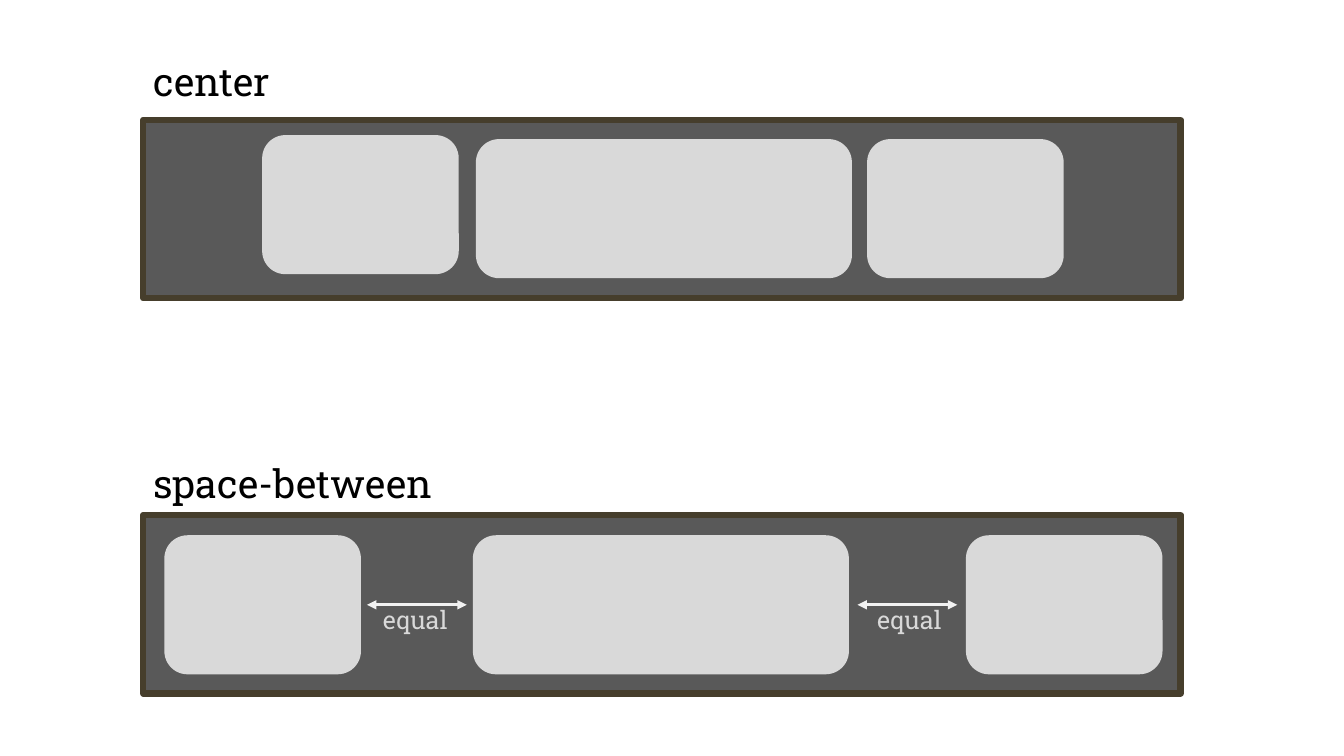
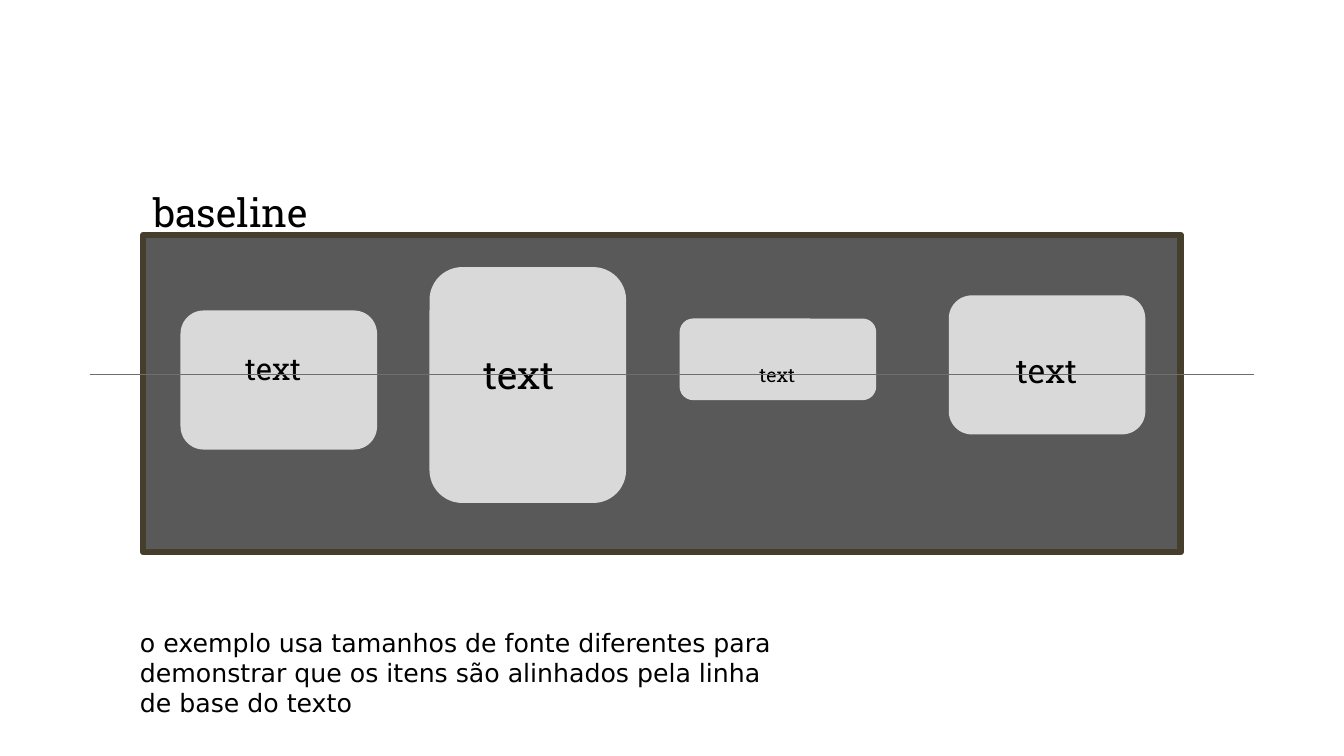
from pptx import Presentation
from pptx.dml.color import RGBColor
from pptx.enum.shapes import MSO_CONNECTOR, MSO_SHAPE
from pptx.enum.text import MSO_ANCHOR, MSO_AUTO_SIZE, PP_ALIGN
from pptx.oxml.ns import qn
from pptx.util import Inches, Pt
from lxml.etree import SubElement

COLORS = {
    "panel": "595959",
    "border": "463E2C",
    "item": "D9D9D9",
    "arrow": "F2F2F2",
    "baseline": "6E6E6E",
    "text": "000000",
}
FONT = "Roboto Slab"
NOTE_FONT = "DejaVu Sans"

PANEL_LEFT, PANEL_WIDTH = 1.42, 10.29
ROW_HEIGHT = 1.77
ITEM_WIDTH, WIDE_WIDTH, ITEM_HEIGHT = 1.95, 3.73, 1.38
ARROW_LENGTH = 0.99


def rgb(name):
    return RGBColor.from_string(COLORS[name])


def write(tf, text, size=28, font=FONT, color="text", align=PP_ALIGN.LEFT, wrap=True):
    tf.word_wrap = wrap
    tf.auto_size = MSO_AUTO_SIZE.NONE
    tf.vertical_anchor = MSO_ANCHOR.TOP
    p = tf.paragraphs[0]
    p.alignment = align
    r = p.add_run()
    r.text = text
    r.font.size = Pt(size)
    r.font.name = font
    r.font.color.rgb = rgb(color)


class Deck:
    """Holds the presentation and draws on its current slide."""

    def __init__(self):
        self.prs = Presentation()
        self.prs.slide_width = Inches(13.33)
        self.prs.slide_height = Inches(7.5)
        self.s = None

    def slide(self, title, top, width):
        self.s = self.prs.slides.add_slide(self.prs.slide_layouts[5])
        sp = self.s.shapes.title
        sp.left, sp.top = Inches(PANEL_LEFT), Inches(top)
        sp.width, sp.height = Inches(width), Inches(0.57)
        write(sp.text_frame, title)

    def text(self, text, x, y, w, h, **style):
        sp = self.s.shapes.add_textbox(Inches(x), Inches(y), Inches(w), Inches(h))
        write(sp.text_frame, text, **style)

    def box(self, kind, fill, x, y, w, h):
        sp = self.s.shapes.add_shape(kind, Inches(x), Inches(y), Inches(w), Inches(h))
        sp.shadow.inherit = False
        sp.fill.solid()
        sp.fill.fore_color.rgb = rgb(fill)
        sp.line.fill.background()
        return sp

    def panel(self, top, height=ROW_HEIGHT):
        sp = self.box(MSO_SHAPE.RECTANGLE, "panel", PANEL_LEFT, top, PANEL_WIDTH, height)
        sp.line.color.rgb = rgb("border")
        sp.line.width = Pt(4.5)

    def item(self, x, y, w=ITEM_WIDTH, h=ITEM_HEIGHT):
        self.box(MSO_SHAPE.ROUNDED_RECTANGLE, "item", x, y, w, h)

    def line(self, x1, x2, y, color, width, arrows=False):
        """Draw a horizontal line, with an arrowhead at both ends if asked."""
        c = self.s.shapes.add_connector(
            MSO_CONNECTOR.STRAIGHT, Inches(x1), Inches(y), Inches(x2), Inches(y))
        c.line.color.rgb = rgb(color)
        c.line.width = Pt(width)
        if arrows:
            ln = c.line._get_or_add_ln()
            for end in ("a:headEnd", "a:tailEnd"):
                SubElement(ln, qn(end), type="triangle")
        SubElement(c._element.spPr, qn("a:effectLst"))


def justify_slide(deck):
    deck.slide("center", 0.52, 3.86)
    deck.panel(1.19)
    for x, y, w in ((2.6, 1.34, ITEM_WIDTH), (4.72, 1.38, WIDE_WIDTH),
                    (8.6, 1.38, ITEM_WIDTH)):
        deck.item(x, y, w)

    deck.text("space-between", PANEL_LEFT, 4.51, 3.12, 0.57)
    deck.panel(5.11)
    items = ((1.63, ITEM_WIDTH), (4.69, WIDE_WIDTH), (9.58, ITEM_WIDTH))
    for x, w in items:
        deck.item(x, 5.31, w)
    for (x, w), (next_x, _), label_x in zip(items, items[1:], (3.7, 8.6)):
        middle = (x + w + next_x) / 2
        deck.line(middle - ARROW_LENGTH / 2, middle + ARROW_LENGTH / 2, 6,
                  "arrow", 2.25, arrows=True)
        deck.text("equal", label_x, 5.95, 0.85, 0.4, size=18, color="item", wrap=False)


def baseline_slide(deck):
    deck.slide("baseline", 1.82, 3.42)
    deck.panel(2.33, 3.15)
    # item left, top, height; text left, top, size
    for x, y, h, text_x, text_y, size in (
        (1.79, 3.08, ITEM_HEIGHT, 2.18, 3.42, 22),
        (4.26, 2.65, 2.34, 4.62, 3.43, 28),
        (6.74, 3.16, 0.81, 7.18, 3.55, 14),
        (9.41, 2.93, ITEM_HEIGHT, 9.85, 3.42, 24),
    ):
        deck.item(x, y, h=h)
        deck.text("text", text_x, text_y, 1.06, 0.5, size=size, align=PP_ALIGN.CENTER)
    deck.line(0.89, 12.44, 3.72, "baseline", 0.75)
    deck.text("o exemplo usa tamanhos de fonte diferentes para demonstrar que os itens "
              "são alinhados pela linha de base do texto",
              1.29, 6.17, 6.67, 1.01, size=18, font=NOTE_FONT)


def main():
    deck = Deck()
    justify_slide(deck)
    baseline_slide(deck)
    deck.prs.save("out.pptx")


if __name__ == "__main__":
    main()
